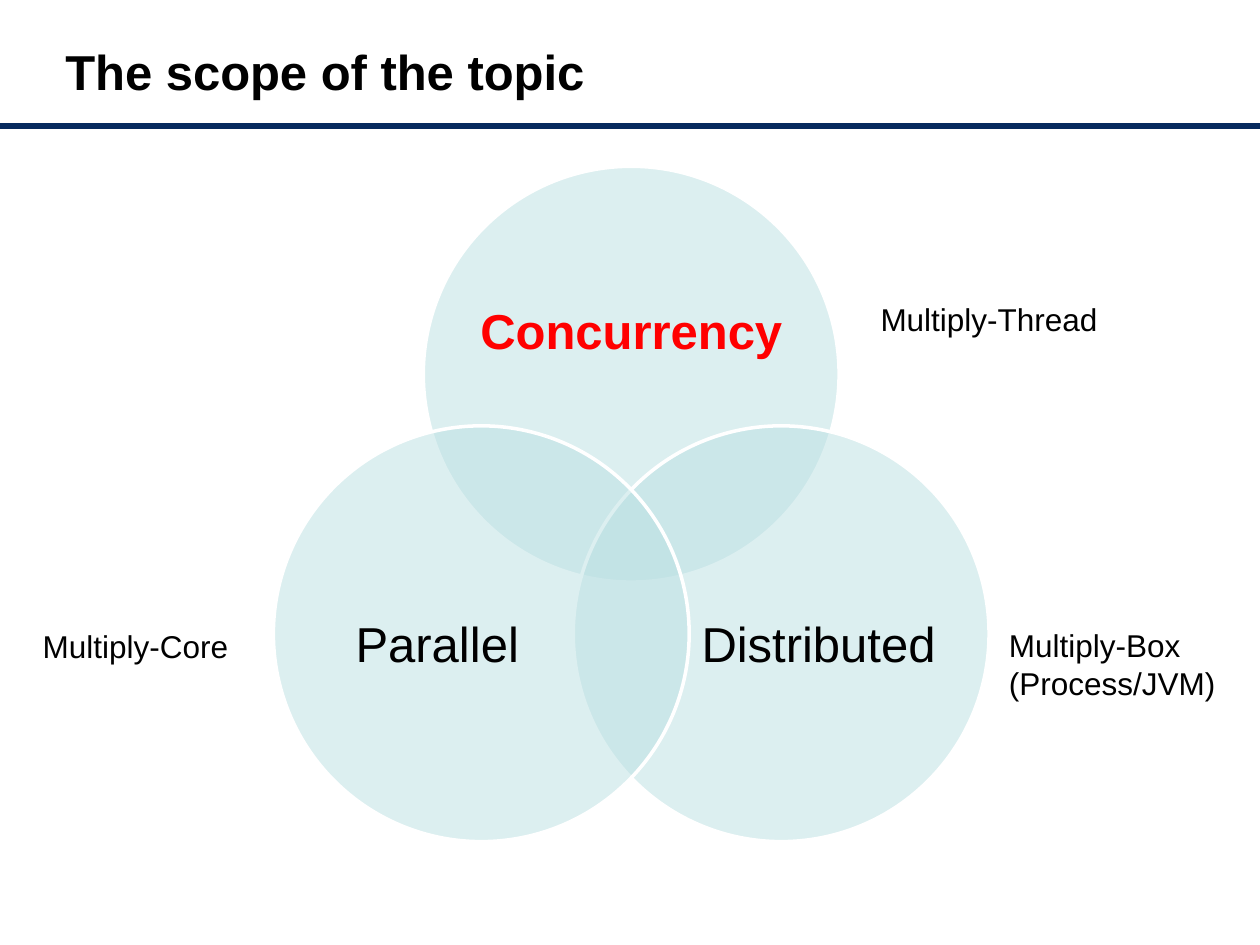
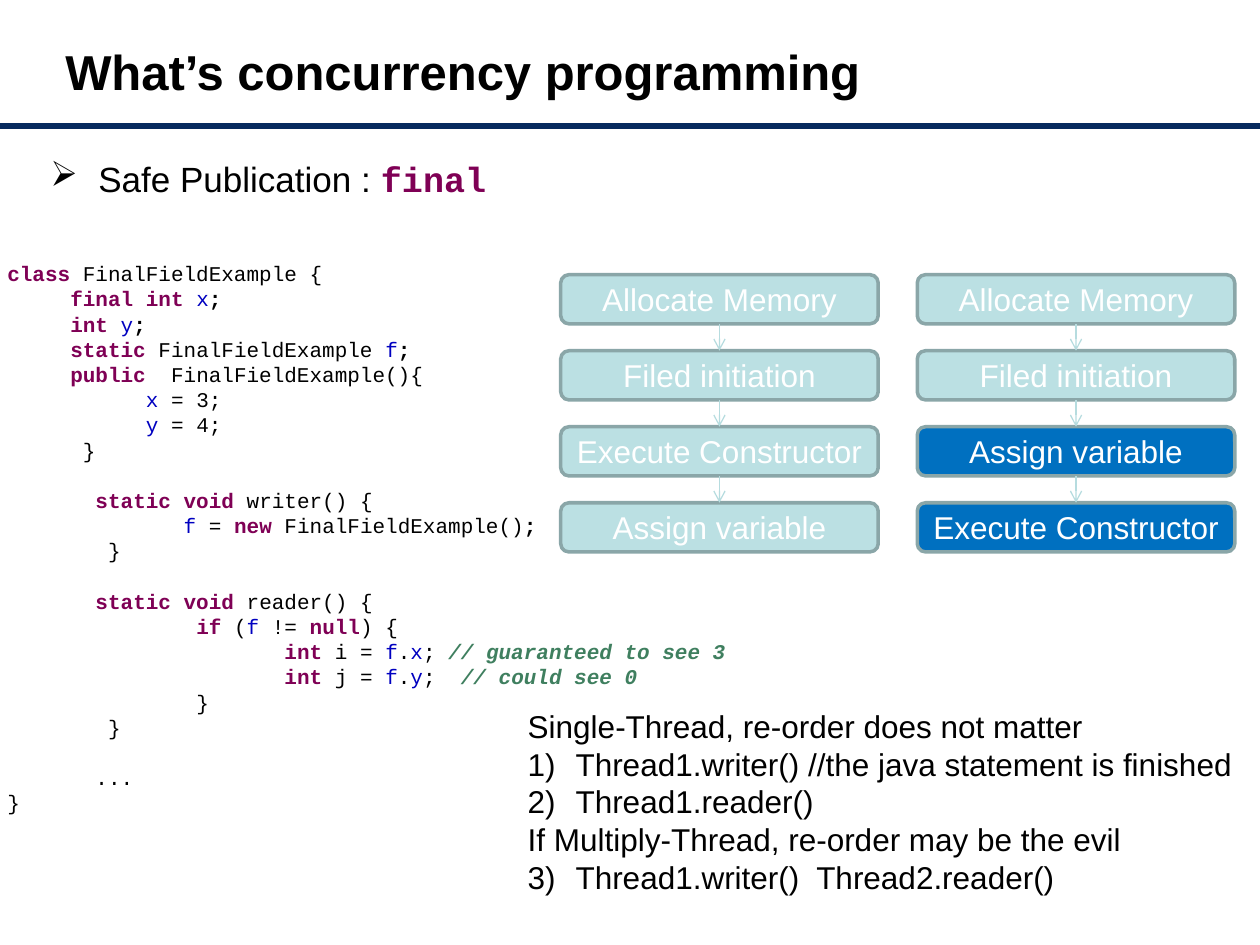
from lxml.etree import SubElement
from pptx import Presentation
from pptx.dml.color import RGBColor
from pptx.enum.shapes import MSO_CONNECTOR, MSO_SHAPE
from pptx.enum.text import MSO_ANCHOR, MSO_AUTO_SIZE, PP_ALIGN
from pptx.oxml.ns import qn
from pptx.util import Inches, Pt

SANS, MONO = "Arial", "Courier New"
BLACK, WHITE, RED = "000000", "FFFFFF", "FF0000"
NAVY, TEAL, TEAL_EDGE, TEAL_ARROW = "072A5E", "BBE0E3", "8AA6A8", "B6DCDF"
BLUE, KEYWORD, FIELD, COMMENT = "0070C0", "7F0055", "0000C0", "3F7F5F"

HANGING = 0.38
CODE_CHARACTER = 0.1  # width of one 12 pt Courier character, in inches
CODE_LINE = Pt(14.4)
KEYWORDS = {"class", "final", "int", "static", "public", "void", "new", "if", "null"}
FIELDS = {"x", "y", "f"}

# (indent in characters, blank lines before, pieces divided by "|")
CODE = [
    (0, 0, "class |FinalFieldExample {"),
    (5, 0, "final int |x|;"),
    (5, 0, "int |y|;"),
    (5, 0, "static |FinalFieldExample |f|;"),
    (5, 0, "public  |FinalFieldExample(){"),
    (11, 0, "x| = 3;"),
    (11, 0, "y| = 4;"),
    (6, 0, "}"),
    (7, 1, "static void |writer() {"),
    (14, 0, "f| = |new |FinalFieldExample()|;"),
    (8, 0, "}"),
    (7, 1, "static void |reader() {"),
    (15, 0, "if |(|f| != |null|) {"),
    (22, 0, "int |i = |f|.|x|; |// guaranteed to see 3"),
    (22, 0, "int |j = |f|.|y|;  |// could see 0"),
    (15, 0, "}"),
    (8, 0, "}"),
    (7, 1, "..."),
    (0, 0, "}"),
]

# (text, number in the list or None)
NOTES = [
    ("Single-Thread, re-order does not matter", None),
    ("Thread1.writer() //the java statement is finished", 1),
    ("Thread1.reader()", 2),
    ("If Multiply-Thread, re-order may be the evil", None),
    ("Thread1.writer()  Thread2.reader()", 3),
]


def rgb(value):
    """Turn a hex string into a colour."""
    return RGBColor.from_string(value)


def style_font(font, size, color, name=SANS, bold=False, italic=False):
    """Set every font property used in the deck."""
    font.size, font.name, font.bold, font.italic = Pt(size), name, bold, italic
    font.color.rgb = rgb(color)


def add_box(page, box, anchor=MSO_ANCHOR.TOP, wrap=True, margins=None):
    """Add an empty text box and return its text frame."""
    frame = page.shapes.add_textbox(*map(Inches, box)).text_frame
    frame.word_wrap = wrap
    frame.vertical_anchor = anchor
    if not wrap:
        frame.auto_size = MSO_AUTO_SIZE.SHAPE_TO_FIT_TEXT
    if margins is not None:
        (frame.margin_left, frame.margin_top,
         frame.margin_right, frame.margin_bottom) = map(Inches, margins)
    return frame


def add_paragraphs(frame, count):
    """Yield the first paragraph of a frame, then new ones, up to count."""
    for index in range(count):
        yield frame.add_paragraph() if index else frame.paragraphs[0]


def add_bullet(para, tag, **attributes):
    """Give a paragraph a hanging indent and a bullet or number."""
    properties = para._p.get_or_add_pPr()
    properties.set("marL", str(Inches(HANGING)))
    properties.set("indent", str(-Inches(HANGING)))
    bullet = SubElement(properties, qn(tag), attributes)
    default_font = properties.find(qn("a:defRPr"))
    if default_font is not None:
        default_font.addprevious(bullet)


def add_line(page, start, end, color, width, arrow=False):
    """Draw a straight line, with an arrowhead at its end if asked."""
    line = page.shapes.add_connector(
        MSO_CONNECTOR.STRAIGHT, *map(Inches, (*start, *end)))
    line.line.color.rgb = rgb(color)
    line.line.width = Pt(width)
    if arrow:
        SubElement(line.line._get_or_add_ln(), qn("a:tailEnd"), type="arrow")
    SubElement(line._element.spPr, qn("a:effectLst"))


def add_shape(page, preset, box, fill, edge):
    """Add a filled shape with a 2 pt outline and no shadow."""
    shape = page.shapes.add_shape(preset, *map(Inches, box))
    shape.shadow.inherit = False
    shape.fill.solid()
    shape.fill.fore_color.rgb = rgb(fill)
    shape.line.color.rgb = rgb(edge)
    shape.line.width = Pt(2)
    return shape


def add_page(deck, title):
    """Add a page with the shared rule and title."""
    page = deck.slides.add_slide(deck.slide_layouts[6])
    add_line(page, (0, 1), (10, 1), NAVY, 3)
    para = add_box(page, (0.42, 0.25, 9, 0.62), MSO_ANCHOR.MIDDLE).paragraphs[0]
    para.text = title
    style_font(para.font, 28, BLACK, bold=True)
    return page


def add_venn(page, left, top):
    """Draw three overlapping circles with their labels."""
    size, shift, drop = 3.3, 1.19, 2.06
    circles = [
        ("Concurrency", shift, 0, (1.63, 0.58, 2.42, 1.49), RED),
        ("Distributed\u00a0", 2 * shift, drop, (3.39, 2.91, 1.98, 1.81), BLACK),
        ("Parallel", 0, drop, (0.31, 2.91, 1.98, 1.81), BLACK),
    ]
    for label, x, y, (label_x, label_y, width, height), color in circles:
        circle = add_shape(page, MSO_SHAPE.OVAL,
                           (left + x, top + y, size, size), TEAL, WHITE)
        fill = circle._element.spPr.find(qn("a:solidFill"))
        SubElement(fill[0], qn("a:alpha"), val="50000")
        frame = add_box(page, (left + label_x, top + label_y, width, height),
                        MSO_ANCHOR.MIDDLE, margins=(0, 0, 0, 0))
        para = frame.paragraphs[0]
        para.text = label
        para.alignment = PP_ALIGN.CENTER
        para.line_spacing = 0.9
        style_font(para.font, 28, color, bold=color == RED)


def add_caption(page, box, text):
    """Add an 18 pt caption beside a circle."""
    para = add_box(page, box, wrap=False).paragraphs[0]
    para.text = text
    style_font(para.font, 18, BLACK)


def add_topic(page, box):
    """Add the bulleted topic line."""
    para = add_box(page, box, margins=(0.05, 0, 0, 0)).paragraphs[0]
    para.space_before = Pt(4)
    add_bullet(para, "a:buChar", char="\u27a2")
    for text, color, name in (("Safe Publication : ", BLACK, SANS),
                              ("final", KEYWORD, MONO)):
        span = para.add_run()
        span.text = text
        style_font(span.font, 20, color, name, bold=name == MONO)


def code_style(piece):
    """Return colour, bold and italic for one piece of code."""
    words = set(piece.split())
    if piece.startswith("//"):
        return COMMENT, True, True
    if words <= KEYWORDS:
        return KEYWORD, True, False
    if words <= FIELDS:
        return FIELD, False, False
    return BLACK, piece == ";", False


def add_code(page, box):
    """Add the coloured code listing."""
    frame = add_box(page, box)
    for para, (indent, blanks, line) in zip(add_paragraphs(frame, len(CODE)), CODE):
        properties = para._p.get_or_add_pPr()
        properties.set("marL", str(Inches(indent * CODE_CHARACTER)))
        properties.set("indent", "0")
        para.line_spacing = CODE_LINE
        para.space_before = blanks * CODE_LINE
        for piece in line.split("|"):
            span = para.add_run()
            span.text = piece
            color, bold, italic = code_style(piece)
            style_font(span.font, 12, color, MONO, bold, italic)


def add_steps(page, box, steps):
    """Stack (text, fill) steps evenly in a box, joined by arrows."""
    left, top, width, height = box
    step_height = 0.39
    pitch = (height - step_height) / (len(steps) - 1)
    middle = left + width / 2
    for index, (text, fill) in enumerate(steps):
        y = top + index * pitch
        shape = add_shape(page, MSO_SHAPE.ROUNDED_RECTANGLE,
                          (left, y, width, step_height), fill, TEAL_EDGE)
        frame = shape.text_frame
        frame.margin_left = frame.margin_right = Inches(0.05)
        frame.vertical_anchor = MSO_ANCHOR.MIDDLE
        para = frame.paragraphs[0]
        para.text = text
        para.alignment = PP_ALIGN.CENTER
        style_font(para.font, 18, WHITE)
        if index:
            add_line(page, (middle, y - pitch + step_height), (middle, y),
                     TEAL_ARROW, 0.75, arrow=True)


def add_notes(page, box):
    """Add the notes on threads, some of them numbered."""
    frame = add_box(page, box, wrap=False)
    for para, (text, number) in zip(add_paragraphs(frame, len(NOTES)), NOTES):
        para.text = text
        style_font(para.font, 18, BLACK)
        if number:
            start = {"startAt": "3"} if number == 3 else {}
            add_bullet(para, "a:buAutoNum", type="arabicParenR", **start)


def build_scope(deck):
    """Build the page on the scope of the topic."""
    page = add_page(deck, "The scope of the topic")
    add_venn(page, 2.17, 1.32)
    add_caption(page, (6.89, 2.33, 1.94, 0.4), "Multiply-Thread")
    add_caption(page, (0.24, 4.93, 1.69, 0.4), "Multiply-Core")
    add_caption(page, (7.91, 4.92, 1.86, 0.71), "Multiply-Box\v(Process/JVM)")


def build_publication(deck):
    """Build the page on safe publication."""
    page = add_page(deck, "What\u2019s concurrency programming")
    add_topic(page, (0.35, 1.25, 9.32, 5.5))
    add_code(page, (-0.04, 2.02, 9.17, 4.54))
    start = [("Allocate Memory", TEAL), ("Filed initiation", TEAL)]
    add_steps(page, (4.45, 2.18, 2.52, 2.2),
              start + [("Execute Constructor", TEAL), ("Assign variable", TEAL)])
    add_steps(page, (7.28, 2.18, 2.52, 2.2),
              start + [("Assign variable", BLUE), ("Execute Constructor", BLUE)])
    add_notes(page, (4.09, 5.56, 5.84, 1.62))


deck = Presentation()
deck.slide_width, deck.slide_height = Inches(10), Inches(7.5)
build_scope(deck)
build_publication(deck)
deck.save("out.pptx")
